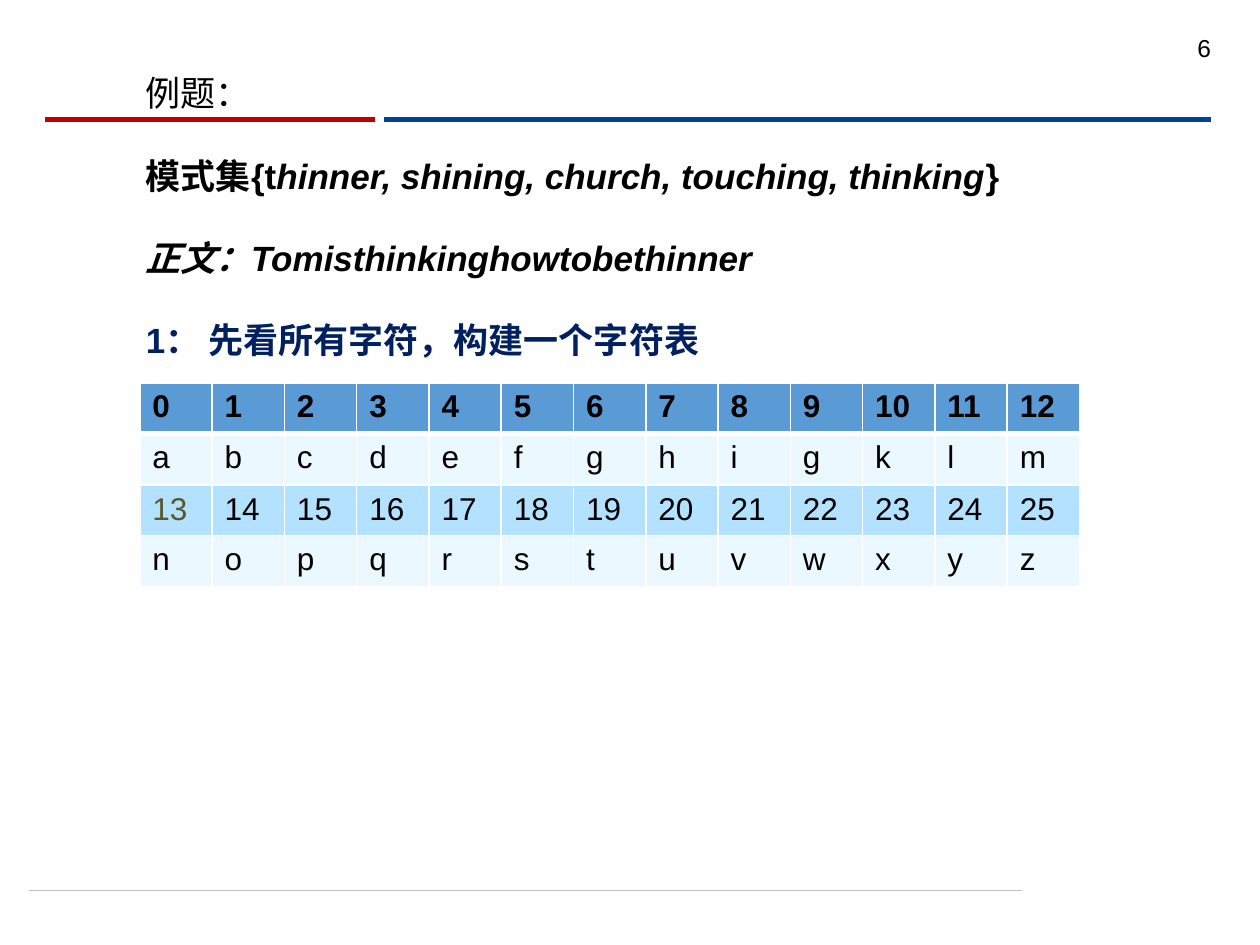
import dataclasses
import typing

import lxml.etree
import pptx
import pptx.dml.color
import pptx.enum.shapes
import pptx.enum.text
import pptx.oxml.ns
import pptx.util

RGBColor = pptx.dml.color.RGBColor
BLACK = RGBColor(0x00, 0x00, 0x00)
WHITE = RGBColor(0xFF, 0xFF, 0xFF)
GREY = RGBColor(0xBF, 0xBF, 0xBF)
BLUE = RGBColor(0x00, 0x42, 0x99)
RED = RGBColor(0xC0, 0x00, 0x00)
NAVY = RGBColor(0x00, 0x20, 0x60)
OLIVE = RGBColor(0x59, 0x58, 0x2D)
HEADER_FILL = RGBColor(0x5B, 0x9B, 0xD5)
PALE_FILL = RGBColor(0xEC, 0xF8, 0xFF)
BAND_FILL = RGBColor(0xB2, 0xE2, 0xFF)

FONT = "Arial"
GRID_COLUMNS, GRID_ROWS = 100, 75
SLIDE_WIDTH = pptx.util.Inches(10)
SLIDE_HEIGHT = pptx.util.Inches(7.5)


@dataclasses.dataclass(frozen=True)
class Rule:
    start: float
    end: float
    row: float
    color: RGBColor
    weight: float


@dataclasses.dataclass(frozen=True)
class Area:
    column: float
    row: float
    columns: float
    rows: float


@dataclasses.dataclass(frozen=True)
class Span:
    text: str
    size: float = 20
    color: RGBColor = BLACK
    bold: bool = False
    italic: bool = False


@dataclasses.dataclass(frozen=True)
class TableRow:
    texts: typing.Sequence[str]
    fill: RGBColor
    height: float
    bold: bool = False
    top: float = 1
    bottom: float = 1


FOOTER_RULE = Rule(2.3, 81.1, 70.7, GREY, 0.5)
TITLE_RULES = [Rule(30.5, 96.1, 9.5, BLUE, 3), Rule(3.6, 29.8, 9.5, RED, 3)]
NUMBER_AREA = Area(91, 2.1, 6.1, 5.2)
BODY_AREA = Area(10.6, 5.2, 75, 54.9)
TABLE_AREA = Area(11.1, 30.4, 74.6, 16.2)

BODY = [
    [Span("例题：")],
    [
        Span("模式集{t", bold=True),
        Span("hinner, shining, church, touching, thinking", bold=True, italic=True),
        Span("}", bold=True),
    ],
    [Span("正文：Tomisthinkinghowtobethinner", bold=True, italic=True)],
    [Span("1： 先看所有字符，构建一个字符表", color=NAVY, bold=True)],
]

TABLE_ROWS = [
    TableRow([str(number) for number in range(13)], HEADER_FILL, 4, bold=True, bottom=3),
    TableRow("abcdefghigklm", PALE_FILL, 4.1, top=3),
    TableRow([str(number) for number in range(13, 26)], BAND_FILL, 4),
    TableRow("nopqrstuvwxyz", PALE_FILL, 4.1),
]


def across(columns: float) -> int:
    return round(SLIDE_WIDTH * columns / GRID_COLUMNS)


def down(rows: float) -> int:
    return round(SLIDE_HEIGHT * rows / GRID_ROWS)


def frame(area: Area) -> tuple[int, int, int, int]:
    return across(area.column), down(area.row), across(area.columns), down(area.rows)


def draw_rule(shapes: typing.Any, rule: Rule) -> None:
    line = shapes.add_connector(
        pptx.enum.shapes.MSO_CONNECTOR.STRAIGHT,
        across(rule.start), down(rule.row), across(rule.end), down(rule.row),
    )
    line.line.color.rgb = rule.color
    line.line.width = pptx.util.Pt(rule.weight)
    lxml.etree.SubElement(
        line._element.spPr, pptx.oxml.ns.qn("a:effectLst")
    )


def write_span(para: typing.Any, span: Span) -> None:
    run = para.add_run()
    run.text = span.text
    run.font.name = FONT
    run.font.size = pptx.util.Pt(span.size)
    run.font.bold = span.bold
    run.font.italic = span.italic
    run.font.color.rgb = span.color


def draw_text(
    page: typing.Any,
    area: Area,
    paragraphs: list[list[Span]],
    align: pptx.enum.text.PP_ALIGN = pptx.enum.text.PP_ALIGN.LEFT,
    gap: float = 0,
) -> None:
    box = page.shapes.add_textbox(*frame(area))
    box.text_frame.word_wrap = True
    for index, spans in enumerate(paragraphs):
        para = box.text_frame.add_paragraph() if index else box.text_frame.paragraphs[0]
        para.alignment = align
        para.space_before = pptx.util.Pt(gap if index else 0)
        for span in spans:
            write_span(para, span)


def set_borders(cell: typing.Any, row: TableRow) -> None:
    properties = cell._tc.get_or_add_tcPr()
    weights = {"lnL": 1, "lnR": 1, "lnT": row.top, "lnB": row.bottom}
    for position, (side, weight) in enumerate(weights.items()):
        border = lxml.etree.Element(
            pptx.oxml.ns.qn(f"a:{side}"), w=str(pptx.util.Pt(weight))
        )
        fill = lxml.etree.SubElement(border, pptx.oxml.ns.qn("a:solidFill"))
        lxml.etree.SubElement(fill, pptx.oxml.ns.qn("a:srgbClr"), val=str(WHITE))
        properties.insert(position, border)


def draw_table(page: typing.Any, area: Area, rows: list[TableRow]) -> None:
    count = len(rows[0].texts)
    table = page.shapes.add_table(len(rows), count, *frame(area)).table
    table.first_row = False
    table.horz_banding = False
    for column in table.columns:
        column.width = across(area.columns / count)
    for row_index, row in enumerate(rows):
        table.rows[row_index].height = down(row.height)
        for column_index, text in enumerate(row.texts):
            cell = table.cell(row_index, column_index)
            cell.fill.solid()
            cell.fill.fore_color.rgb = row.fill
            set_borders(cell, row)
            color = OLIVE if text == "13" else BLACK
            write_span(cell.text_frame.paragraphs[0], Span(text, 18, color, row.bold))


def main() -> None:
    deck = pptx.Presentation()
    deck.slide_width = SLIDE_WIDTH
    deck.slide_height = SLIDE_HEIGHT
    page = deck.slides.add_slide(deck.slide_layouts[6])
    draw_rule(page.shapes, FOOTER_RULE)
    title_group = page.shapes.add_group_shape()
    for rule in TITLE_RULES:
        draw_rule(title_group.shapes, rule)
    draw_text(page, NUMBER_AREA, [[Span("6", 14)]], pptx.enum.text.PP_ALIGN.RIGHT)
    draw_text(page, BODY_AREA, BODY, gap=23)
    draw_table(page, TABLE_AREA, TABLE_ROWS)
    deck.save("out.pptx")


if __name__ == "__main__":
    main()
